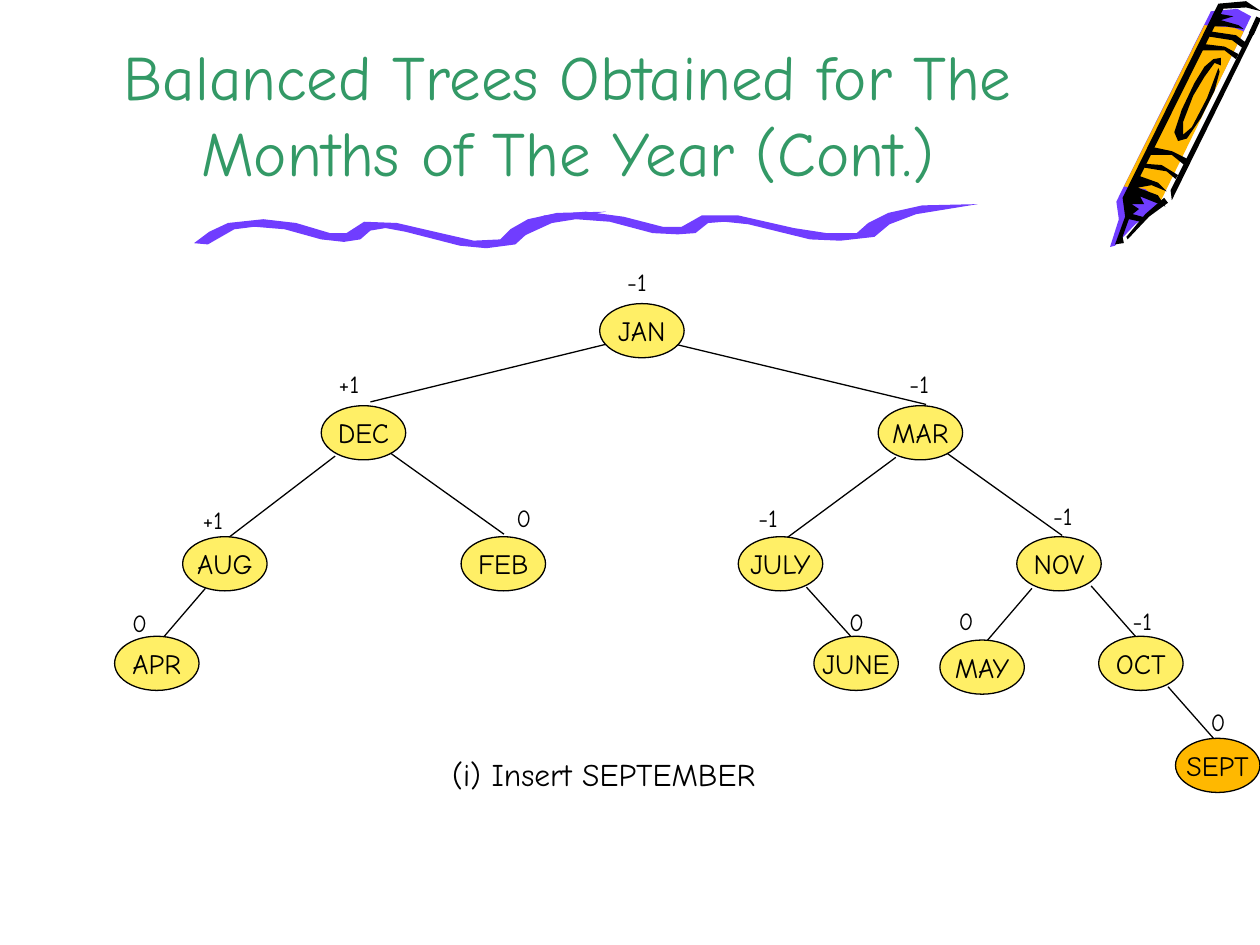
from typing import NamedTuple

from lxml import etree
from pptx import Presentation
from pptx import util as u
from pptx.dml.color import RGBColor
from pptx.enum import shapes, text
from pptx.oxml.ns import qn

COLORS = {
    "title": "339966",
    "ink": "000000",
    "violet": "703DFF",
    "amber": "FFB800",
    "node": "FFEF66",
}
FONT = "Comic Neue"
NODE_WIDTH, NODE_HEIGHT = 0.67, 0.43
LABEL_WIDTH, LABEL_HEIGHT = 0.44, 0.34


class Point(NamedTuple):
    x: float
    y: float


class Outline(NamedTuple):
    color: str
    points: list


class Node(NamedTuple):
    month: str
    corner: Point
    balance: str
    label: Point
    color: str = "node"


class Edge(NamedTuple):
    start: Point
    end: Point
    width: float = 0.75


CRAYON = [
    Outline("violet", [(9.93, 0.13), (9.17, 1.66), (9.01, 1.78), (8.85, 1.95), (8.81, 1.96),
                       (8.88, 1.74), (8.86, 1.6), (9.61, 0.09), (9.82, 0.07)]),
    Outline("amber", [(9.21, 1.6), (9.09, 1.5), (8.92, 1.48), (9.56, 0.2), (9.79, 0.22),
                      (9.87, 0.25)]),
    Outline("ink", [(9.27, 1.61), (9.12, 1.72), (8.95, 1.9), (8.94, 1.88), (9.09, 1.7),
                    (9.24, 1.57)]),
    Outline("ink", [(9.87, 0.23), (9.73, 0.21), (9.61, 0.21), (9.68, 0.11), (9.79, 0.13),
                    (9.69, 0.16), (9.83, 0.2)]),
    Outline("ink", [(9.68, 0.57), (9.64, 0.72), (9.53, 0.94), (9.42, 1.1), (9.35, 1.12),
                    (9.32, 1.05), (9.38, 0.87), (9.48, 0.66), (9.56, 0.53), (9.63, 0.47),
                    (9.69, 0.46), (9.69, 0.52), (9.64, 0.5), (9.56, 0.61), (9.47, 0.76),
                    (9.39, 0.97), (9.39, 1.07), (9.46, 1.01), (9.58, 0.78), (9.67, 0.54)]),
    Outline("ink", [(9.97, 0.23), (9.3, 1.59), (9.29, 1.51), (9.93, 0.23)]),
    Outline("ink", [(9.25, 1.64), (9.19, 1.55), (9.03, 1.49), (9.14, 1.47), (9.26, 1.52),
                    (9.19, 1.45), (9.05, 1.4), (9.71, 0.07), (9.89, 0.06), (10.01, 0.09),
                    (9.89, 0.01), (9.67, 0.03), (8.91, 1.57), (8.93, 1.72), (8.85, 1.94),
                    (8.92, 1.93), (8.91, 1.88), (8.96, 1.74), (9.05, 1.76), (9.1, 1.73),
                    (8.99, 1.7), (9.04, 1.66), (8.98, 1.62), (9.08, 1.62), (9.05, 1.56)]),
    Outline("ink", [(9.33, 1.42), (9.26, 1.36), (9.08, 1.33), (9.09, 1.3), (9.22, 1.31),
                    (9.35, 1.39)]),
    Outline("ink", [(9.4, 1.31), (9.3, 1.23), (9.13, 1.23), (9.16, 1.17), (9.3, 1.2),
                    (9.42, 1.26)]),
    Outline("ink", [(9.81, 0.47), (9.72, 0.4), (9.53, 0.4), (9.56, 0.35), (9.72, 0.37),
                    (9.83, 0.43)]),
    Outline("ink", [(9.86, 0.38), (9.78, 0.32), (9.59, 0.29), (9.61, 0.25), (9.81, 0.28),
                    (9.89, 0.34)]),
]
CRAYON_EDGE = Edge(Point(9.99, 0.14), Point(9.93, 0.27), 3)

WAVES = [
    Outline("violet", [(1.65, 1.94), (1.86, 1.82), (2.02, 1.8), (2.26, 1.82), (2.55, 1.9),
                       (2.73, 1.92), (2.86, 1.9), (2.94, 1.83), (3.06, 1.81), (3.22, 1.84),
                       (3.65, 1.95), (3.86, 1.97), (4.09, 1.94), (4.2, 1.84), (4.38, 1.75),
                       (4.81, 1.68), (4.42, 1.69), (4.19, 1.74), (4.05, 1.82), (3.97, 1.9),
                       (3.76, 1.91), (3.54, 1.86), (3.15, 1.77), (2.89, 1.76), (2.75, 1.85),
                       (2.62, 1.85), (2.35, 1.77), (2.09, 1.74), (1.81, 1.77), (1.66, 1.84),
                       (1.54, 1.93)]),
    Outline("violet", [(4.14, 1.88), (4.38, 1.77), (4.57, 1.74), (4.84, 1.76), (5.18, 1.85),
                       (5.38, 1.86), (5.52, 1.85), (5.62, 1.77), (5.75, 1.76), (5.94, 1.78),
                       (6.43, 1.9), (6.67, 1.91), (6.94, 1.88), (7.06, 1.78), (7.27, 1.7),
                       (7.76, 1.62), (7.32, 1.63), (7.05, 1.69), (6.89, 1.77), (6.8, 1.85),
                       (6.56, 1.85), (6.3, 1.81), (5.86, 1.71), (5.57, 1.71), (5.41, 1.8),
                       (5.26, 1.8), (4.95, 1.72), (4.65, 1.68), (4.32, 1.71), (4.15, 1.78),
                       (4.01, 1.88)]),
]

NODES = [
    Node("JAN", Point(4.76, 2.41), "-1", Point(4.88, 2.07)),
    Node("DEC", Point(2.55, 3.22), "+1", Point(2.59, 2.88)),
    Node("MAR", Point(6.97, 3.22), "-1", Point(7.12, 2.88)),
    Node("AUG", Point(1.45, 4.26), "+1", Point(1.51, 3.96)),
    Node("FEB", Point(3.66, 4.26), "0", Point(4, 3.94)),
    Node("JULY", Point(5.86, 4.26), "-1", Point(5.92, 3.94)),
    Node("NOV", Point(8.07, 4.26), "-1", Point(8.26, 3.93)),
    Node("APR", Point(0.91, 5.05), "0", Point(0.95, 4.78)),
    Node("JUNE", Point(6.46, 5.05), "0", Point(6.64, 4.77)),
    Node("MAY", Point(7.46, 5.08), "0", Point(7.51, 4.76)),
    Node("OCT", Point(8.72, 5.05), "-1", Point(8.89, 4.76)),
    Node("SEPT", Point(9.33, 5.86), "0", Point(9.51, 5.56), "amber"),
]

EDGES = [
    Edge(Point(4.82, 2.73), Point(2.94, 3.19)),
    Edge(Point(5.35, 2.73), Point(7.35, 3.21)),
    Edge(Point(2.66, 3.62), Point(1.81, 4.27)),
    Edge(Point(3.09, 3.59), Point(4, 4.24)),
    Edge(Point(7.11, 3.63), Point(6.23, 4.28)),
    Edge(Point(7.52, 3.6), Point(8.43, 4.25)),
    Edge(Point(1.63, 4.67), Point(1.27, 5.09)),
    Edge(Point(6.4, 4.66), Point(6.77, 5.07)),
    Edge(Point(8.19, 4.67), Point(7.83, 5.09)),
    Edge(Point(8.66, 4.65), Point(9.02, 5.06)),
    Edge(Point(9.27, 5.45), Point(9.64, 5.87)),
]


def rgb(name: str) -> RGBColor:
    return RGBColor.from_string(COLORS[name])


def write(shape, words: str, size: float, color: str = "ink", align=None, before=None) -> None:
    shape.text_frame.text = words
    para = shape.text_frame.paragraphs[0]
    para.alignment = align
    if before is not None:
        para.space_before = u.Pt(before)
    font = para.runs[0].font
    font.name, font.size, font.color.rgb = FONT, u.Pt(size), rgb(color)


def draw_outline(page, outline: Outline) -> None:
    points = [(u.Inches(x), u.Inches(y)) for x, y in outline.points]
    builder = page.shapes.build_freeform(*points[0])
    builder.add_line_segments(points[1:], close=True)
    shape = builder.convert_to_shape()
    shape.shadow.inherit = False
    shape.fill.solid()
    shape.fill.fore_color.rgb = rgb(outline.color)
    shape.line.fill.background()


def draw_edge(page, edge: Edge) -> None:
    ends = [u.Inches(length) for length in (*edge.start, *edge.end)]
    line = page.shapes.add_connector(shapes.MSO_CONNECTOR.STRAIGHT, *ends)
    line.line.color.rgb = rgb("ink")
    line.line.width = u.Pt(edge.width)
    etree.SubElement(line._element.spPr, qn("a:effectLst"))


def draw_text(page, words: str, corner: Point, width: float, height: float, size: float,
              before: float) -> None:
    box = page.shapes.add_textbox(*map(u.Inches, (*corner, width, height)))
    box.text_frame.word_wrap = True
    box.text_frame.auto_size = text.MSO_AUTO_SIZE.SHAPE_TO_FIT_TEXT
    write(box, words, size, before=before)


def draw_node(page, node: Node) -> None:
    oval = page.shapes.add_shape(
        shapes.MSO_SHAPE.OVAL, *map(u.Inches, (*node.corner, NODE_WIDTH, NODE_HEIGHT)))
    oval.shadow.inherit = False
    oval.fill.solid()
    oval.fill.fore_color.rgb = rgb(node.color)
    oval.line.color.rgb = rgb("ink")
    oval.line.width = u.Pt(0.75)
    oval.text_frame.word_wrap = False
    oval.text_frame.vertical_anchor = text.MSO_ANCHOR.MIDDLE
    write(oval, node.month, 16, align=text.PP_ALIGN.CENTER)
    draw_text(page, node.balance, node.label, LABEL_WIDTH, LABEL_HEIGHT, 14, 8.8)


def main() -> None:
    deck = Presentation()
    deck.slide_width, deck.slide_height = u.Inches(10), u.Inches(7.5)
    page = deck.slides.add_slide(deck.slide_layouts[5])

    title = page.shapes.title
    title.left, title.top = u.Inches(0.75), u.Inches(0)
    title.width, title.height = u.Inches(7.51), u.Inches(1.55)
    write(title, "Balanced Trees Obtained for The Months of The Year (Cont.)", 36, "title",
          text.PP_ALIGN.CENTER)
    title.text_frame.vertical_anchor = text.MSO_ANCHOR.BOTTOM
    title.text_frame.auto_size = text.MSO_AUTO_SIZE.NONE

    for outline in CRAYON + WAVES:
        draw_outline(page, outline)
    for edge in [CRAYON_EDGE] + EDGES:
        draw_edge(page, edge)
    for node in NODES:
        draw_node(page, node)
    draw_text(page, "(i) Insert SEPTEMBER", Point(3.49, 5.94), 2.89, 0.4, 18, 11.2)

    deck.save("out.pptx")


if __name__ == "__main__":
    main()
